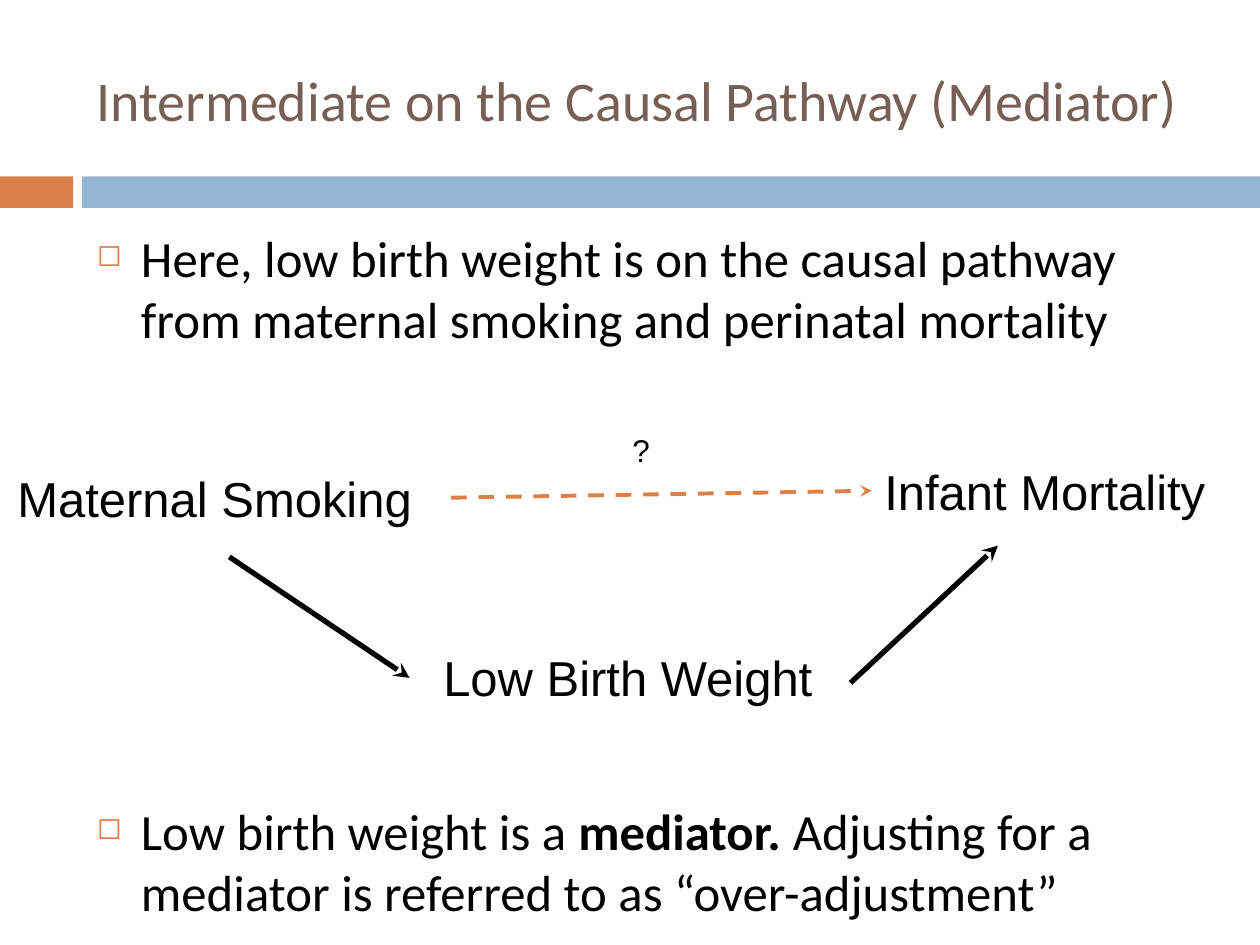
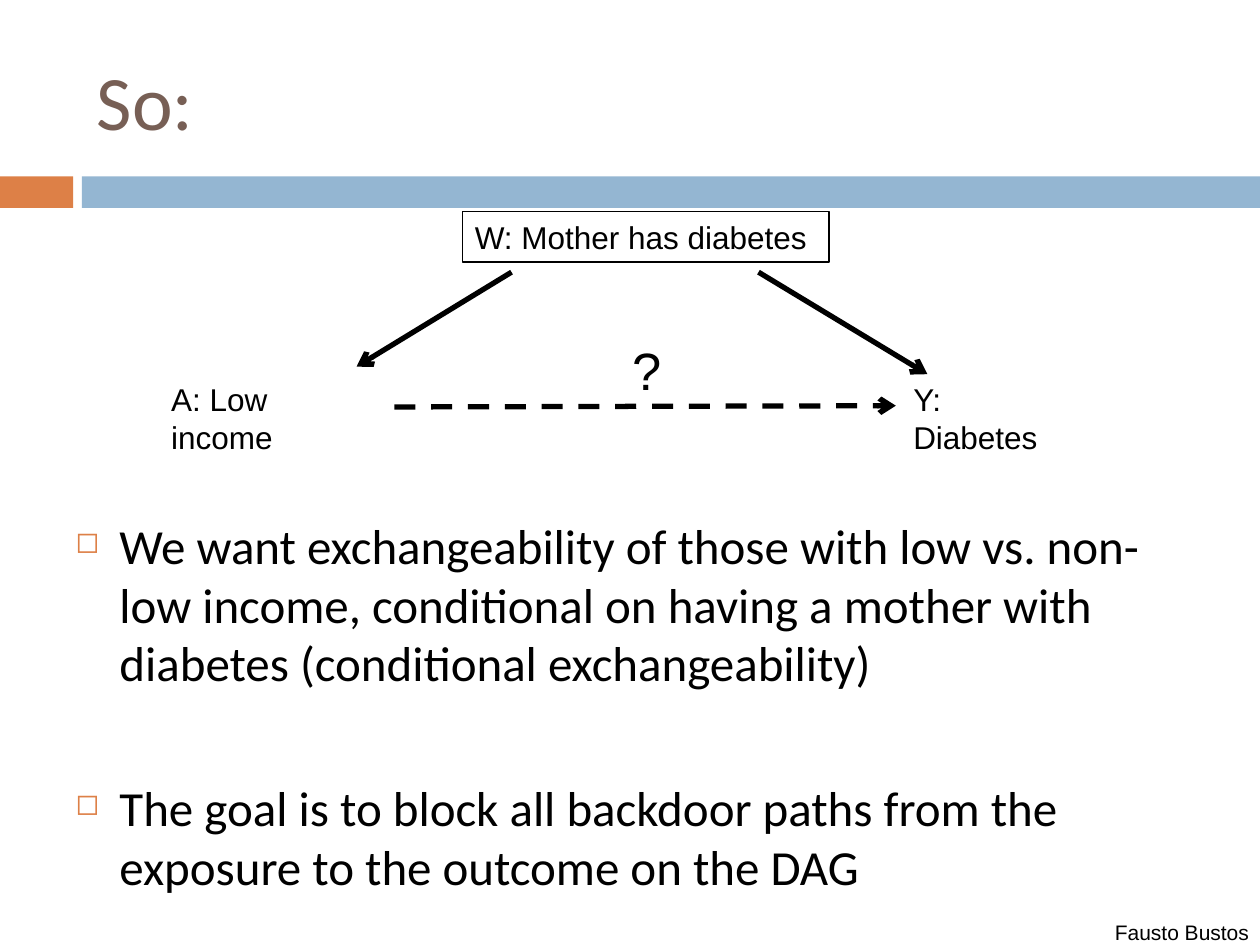
from dataclasses import dataclass
from lxml.etree import SubElement as Sub
from pptx import Presentation
from pptx.dml.color import RGBColor as Rgb
from pptx.enum.dml import MSO_LINE as Dash
from pptx.enum.shapes import MSO_CONNECTOR as Link, MSO_SHAPE as Shape
from pptx.enum.text import MSO_ANCHOR as Anchor
from pptx.oxml.ns import qn
from pptx.util import Inches, Pt


@dataclass(frozen=True)
class Theme:
    black: str = "000000"
    brown: str = "775F55"
    orange: str = "DD8047"
    blue: str = "94B6D2"
    head: str = "Calibri"
    plain: str = "Arial"
    big: int = 44
    title: int = 32
    body: int = 29
    node: int = 28
    label: int = 18
    foot: int = 12


T = Theme()
WIDE, TALL = 10, 7.5


def spot(box, x, y, w, h):
    """Return a box placed relative to the corner of another."""
    return box[0] + x, box[1] + y, w, h


def bullet(para):
    """Give a paragraph the small square mark and hanging indent."""
    props = para._p.get_or_add_pPr()
    props.set("marL", str(Inches(0.35)))
    props.set("indent", str(Inches(-0.35)))
    tint = Sub(props, qn("a:buClr"))
    Sub(tint, qn("a:srgbClr"), val=T.orange)
    Sub(props, qn("a:buSzPct"), val="60000")
    Sub(props, qn("a:buChar"), char="◻")


def write(slide, box, *texts, size=T.label, font=T.plain, color=T.black,
          wrap=True, anchor=Anchor.TOP, marks=False, gap=0, edge=None):
    """Add one paragraph per text; words between ** are bold."""
    shape = slide.shapes.add_textbox(*map(Inches, box))
    frame = shape.text_frame
    frame.word_wrap, frame.vertical_anchor = wrap, anchor
    if edge:
        shape.line.color.rgb = Rgb.from_string(edge)
        shape.line.width = Pt(0.75)
    for i, text in enumerate(texts):
        para = frame.add_paragraph() if i else frame.paragraphs[0]
        if marks:
            para.space_before = Pt(gap if i else 7)
            bullet(para)
        for j, part in enumerate(text.split("**")):
            run = para.add_run()
            run.text = part
            run.font.name, run.font.size = font, Pt(size)
            run.font.bold = j % 2 == 1
            run.font.color.rgb = Rgb.from_string(color)
    return shape


def arrow(slide, box, start, end, tip, color=T.black, width=3, dash=False):
    """Draw an arrow between two points relative to the box."""
    ends = [Inches(box[i % 2] + n) for i, n in enumerate((*start, *end))]
    link = slide.shapes.add_connector(Link.STRAIGHT, *ends)
    link.line.color.rgb = Rgb.from_string(color)
    link.line.width = Pt(width)
    if dash:
        link.line.dash_style = Dash.DASH
    Sub(link.line._get_or_add_ln(), qn("a:tailEnd"), type=tip)
    Sub(link._element.spPr, qn("a:effectLst"))
    return link


def bands(slide, box):
    """Fill the strip under the title with its two bars."""
    for x, w, color in ((0, 0.58, T.orange), (0.65, box[2] - 0.65, T.blue)):
        part = spot(box, x, 0, w, box[3])
        bar = slide.shapes.add_shape(Shape.RECTANGLE, *map(Inches, part))
        bar.shadow.inherit = False
        bar.fill.solid()
        bar.fill.fore_color.rgb = Rgb.from_string(color)
        bar.line.fill.background()


def start(deck, title, size):
    """Add a blank slide with the shared bars and title."""
    slide = deck.slides.add_slide(deck.slide_layouts[6])
    bands(slide, (0, 1.4, WIDE, 0.25))
    write(slide, (0.67, 0.25, 8.92, 1.08), title, size=size, font=T.head,
          color=T.brown, anchor=Anchor.MIDDLE)
    return slide


def points(slide, box, *texts, size=T.body, gap=7):
    """Fill a box with marked points."""
    write(slide, box, *texts, size=size, font=T.head, marks=True, gap=gap)


def causal(slide, box):
    """Smoking to mortality, by way of birth weight."""
    nodes = (("Maternal Smoking", 0.04, 0.3, 3.37),
             ("Low Birth Weight", 3.42, 1.72, 3.17),
             ("Infant Mortality", 6.92, 0.24, 2.78))
    for text, x, y, w in nodes:
        # The last node made is the outcome
        goal = write(slide, spot(box, x, y, w, 0.57), text,
                     size=T.node, wrap=False)
    write(slide, spot(box, 4.92, 0, 0.42, 0.4), "?")
    arrow(slide, box, (1.82, 1.05), (3.25, 2.01), "stealth")
    arrow(slide, box, (6.75, 2.05), (7.92, 0.96), "stealth")
    link = arrow(slide, box, (3.58, 0.58), (6.92, 0.56), "stealth",
                 color=T.orange, width=2.25, dash=True)
    link.end_connect(goal, 1)


def common(slide, box):
    """Mother's diabetes as a shared cause of income and outcome."""
    write(slide, spot(box, 2.41, 0, 2.91, 0.4), "W: Mother has diabetes",
          edge=T.black)
    for text, x in (("A: Low income", 0), ("Y: Diabetes", 5.89)):
        write(slide, spot(box, x, 1.29, 1.3, 0.7), text)
    write(slide, spot(box, 3.66, 0.95, 0.4, 0.61), "?", size=30, wrap=False)
    arrow(slide, box, (1.87, 1.55), (5.85, 1.54), "arrow", dash=True)
    arrow(slide, box, (2.8, 0.48), (1.57, 1.23), "arrow")
    arrow(slide, box, (4.76, 0.48), (6.1, 1.29), "arrow")


def mediator(deck):
    slide = start(deck, "Intermediate on the Causal Pathway (Mediator)",
                  T.title)
    texts = ("Here, low birth weight is on the causal pathway from maternal "
             "smoking and perinatal mortality",
             "Low birth weight is a **mediator. **Adjusting for a mediator "
             "is referred to as “over-adjustment”")
    for text, top in zip(texts, (1.75, 6.3)):
        points(slide, (0.67, top, 8.92, 1.15), text)
    causal(slide, (0, 3.37, WIDE, 2.3))


def backdoor(deck):
    slide = start(deck, "So:", T.big)
    points(slide, (0.5, 4.04, 9, 3.24),
           "We want exchangeability of those with low vs. non-low income, "
           "conditional on having a mother with diabetes (conditional "
           "exchangeability)",
           "The goal is to block all backdoor paths from the exposure to "
           "the outcome on the DAG", size=T.node, gap=49)
    common(slide, (1.26, 1.68, 7.24, 2))
    # Name in the lower corner
    write(slide, (8.75, 7.25, 1.28, 0.3), "Fausto Bustos", size=T.foot,
          wrap=False)


def main():
    deck = Presentation()
    deck.slide_width, deck.slide_height = Inches(WIDE), Inches(TALL)
    mediator(deck)
    backdoor(deck)
    deck.save("out.pptx")


if __name__ == "__main__":
    main()
